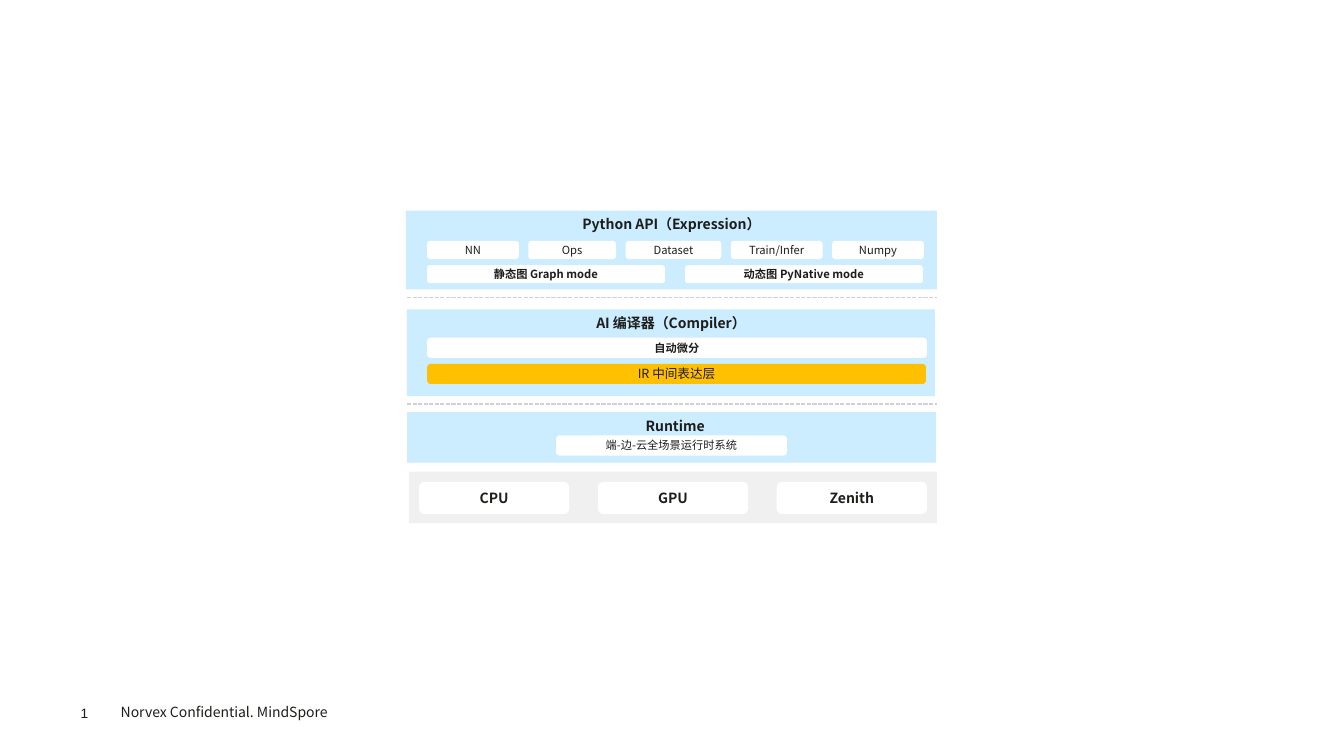
from dataclasses import dataclass

import pptx
import pptx.dml.color
import pptx.enum.dml
import pptx.enum.shapes
import pptx.enum.text
import pptx.oxml
import pptx.oxml.ns
import pptx.util

Inches = pptx.util.Inches
SHAPES = pptx.enum.shapes.MSO_SHAPE
ALIGN = pptx.enum.text.PP_ALIGN
ANCHOR = pptx.enum.text.MSO_ANCHOR


@dataclass(frozen=True)
class Theme:
    font: str = "Noto Sans CJK SC"
    number_font: str = "Arial"
    ink: str = "1D1D1A"
    layer: str = "CCECFF"
    hardware: str = "F0F0F0"
    pill: str = "FFFFFF"
    highlight: str = "FFC000"
    divider: str = "D1D1D1"
    title_size: float = 10
    highlight_size: float = 9
    label_size: float = 8
    number_size: float = 9.7


THEME = Theme()


def rgb(value):
    return pptx.dml.color.RGBColor.from_string(value)


def write(box, text, size=THEME.label_size, bold=False, font=THEME.font,
          align=ALIGN.CENTER, anchor=ANCHOR.MIDDLE, margins=(0.04, 0, 0.04, 0),
          line_spacing=None):
    frame = box.text_frame
    frame.word_wrap = True
    frame.vertical_anchor = anchor
    (frame.margin_left, frame.margin_top,
     frame.margin_right, frame.margin_bottom) = map(Inches, margins)
    para = frame.paragraphs[0]
    para.alignment = align
    para.line_spacing = line_spacing
    span = para.add_run()
    span.text = text
    span.font.name = font
    span.font.size = pptx.util.Pt(size)
    span.font.bold = bold
    span.font.color.rgb = rgb(THEME.ink)
    east_asian = pptx.oxml.parse_xml(
        f'<a:ea {pptx.oxml.ns.nsdecls("a")} typeface="{font}"/>')
    span.font._element.append(east_asian)


def add_block(page, kind, box, fill):
    block = page.shapes.add_shape(kind, *map(Inches, box))
    block.shadow.inherit = False
    block.fill.solid()
    block.fill.fore_color.rgb = rgb(fill)
    block.line.fill.background()
    return block


def add_panel(page, box, title, left_margin=0.1):
    panel = add_block(page, SHAPES.RECTANGLE, box, THEME.layer)
    write(panel, title, size=THEME.title_size, bold=True, anchor=ANCHOR.TOP,
          margins=(left_margin, 0.05, 0.1, 0.05))


def add_pill_row(page, box, labels, widths, fill=THEME.pill, **text_format):
    """Spread pills of the given widths over the box with equal gaps."""
    left, top, width, height = box
    gap = (width - sum(widths)) / max(len(widths) - 1, 1)
    for label, pill_width in zip(labels, widths):
        pill = add_block(page, SHAPES.ROUNDED_RECTANGLE,
                         (left, top, pill_width, height), fill)
        write(pill, label, **text_format)
        left += pill_width + gap


def add_api_layer(page, box):
    left, top, width, height = box
    add_panel(page, box, "Python API（Expression）")
    add_pill_row(page, (left + 0.21, top + 0.3, 4.93, 0.18),
                 ["NN", "Ops", "Dataset", "Train/Infer", "Numpy"],
                 [0.91, 0.87, 0.95, 0.91, 0.91])
    add_pill_row(page, (left + 0.21, top + 0.54, 4.92, 0.18),
                 ["静态图 Graph mode", "动态图 PyNative mode"],
                 [2.36] * 2, bold=True)


def add_compiler_layer(page, box):
    left, top, width, height = box
    add_panel(page, box, "AI 编译器（Compiler）")
    add_pill_row(page, (left + 0.2, top + 0.28, 4.96, 0.2),
                 ["自动微分"], [4.96], bold=True)
    add_pill_row(page, (left + 0.2, top + 0.54, 4.95, 0.2),
                 ["IR 中间表达层"], [4.95],
                 fill=THEME.highlight, size=THEME.highlight_size)


def add_runtime_layer(page, box):
    left, top, width, height = box
    add_panel(page, box, "Runtime", left_margin=0.17)
    add_pill_row(page, (left + (width - 2.29) / 2, top + 0.23, 2.29, 0.2),
                 ["端-边-云全场景运行时系统"], [2.29])


def add_hardware_layer(page, box):
    left, top, width, height = box
    add_block(page, SHAPES.RECTANGLE, box, THEME.hardware)
    add_pill_row(page, (left + 0.1, top + 0.1, width - 0.2, 0.32),
                 ["CPU", "GPU", "Zenith"], [1.49] * 3,
                 size=THEME.title_size, bold=True)


def add_divider(page, left, top, width):
    divider = page.shapes.add_connector(
        pptx.enum.shapes.MSO_CONNECTOR.STRAIGHT,
        *map(Inches, (left, top, left + width, top)))
    divider.line.color.rgb = rgb(THEME.divider)
    divider.line.width = pptx.util.Pt(1)
    divider.line.dash_style = pptx.enum.dml.MSO_LINE.SQUARE_DOT
    divider._element.spPr.append(pptx.oxml.parse_xml(
        f'<a:effectLst {pptx.oxml.ns.nsdecls("a")}/>'))


def add_footer(page, box):
    left, top, width, height = box
    number = page.shapes.add_textbox(
        *map(Inches, (left, top + 0.09, 0.3, 0.16)))
    write(number, "1", size=THEME.number_size, font=THEME.number_font,
          align=ALIGN.LEFT, anchor=ANCHOR.TOP, margins=(0, 0, 0, 0))
    notice = page.shapes.add_textbox(
        *map(Inches, (left + 0.3, top, width - 0.3, height)))
    write(notice, "Norvex Confidential. MindSpore", size=THEME.title_size,
          align=ALIGN.LEFT, anchor=ANCHOR.TOP, line_spacing=1.2,
          margins=(0.1, 0.05, 0.1, 0.05))


def main():
    deck = pptx.Presentation()
    deck.slide_width, deck.slide_height = Inches(13.34), Inches(7.5)
    page = deck.slides.add_slide(deck.slide_layouts[6])
    add_api_layer(page, (4.03, 2.09, 5.27, 0.78))
    add_compiler_layer(page, (4.04, 3.07, 5.24, 0.86))
    add_runtime_layer(page, (4.04, 4.09, 5.25, 0.5))
    add_hardware_layer(page, (4.06, 4.68, 5.24, 0.51))
    for top in (2.95, 4.01):
        add_divider(page, 4.04, top, 5.26)
    add_footer(page, (0.8, 6.9, 3.02, 0.3))
    deck.save("out.pptx")


if __name__ == "__main__":
    main()
